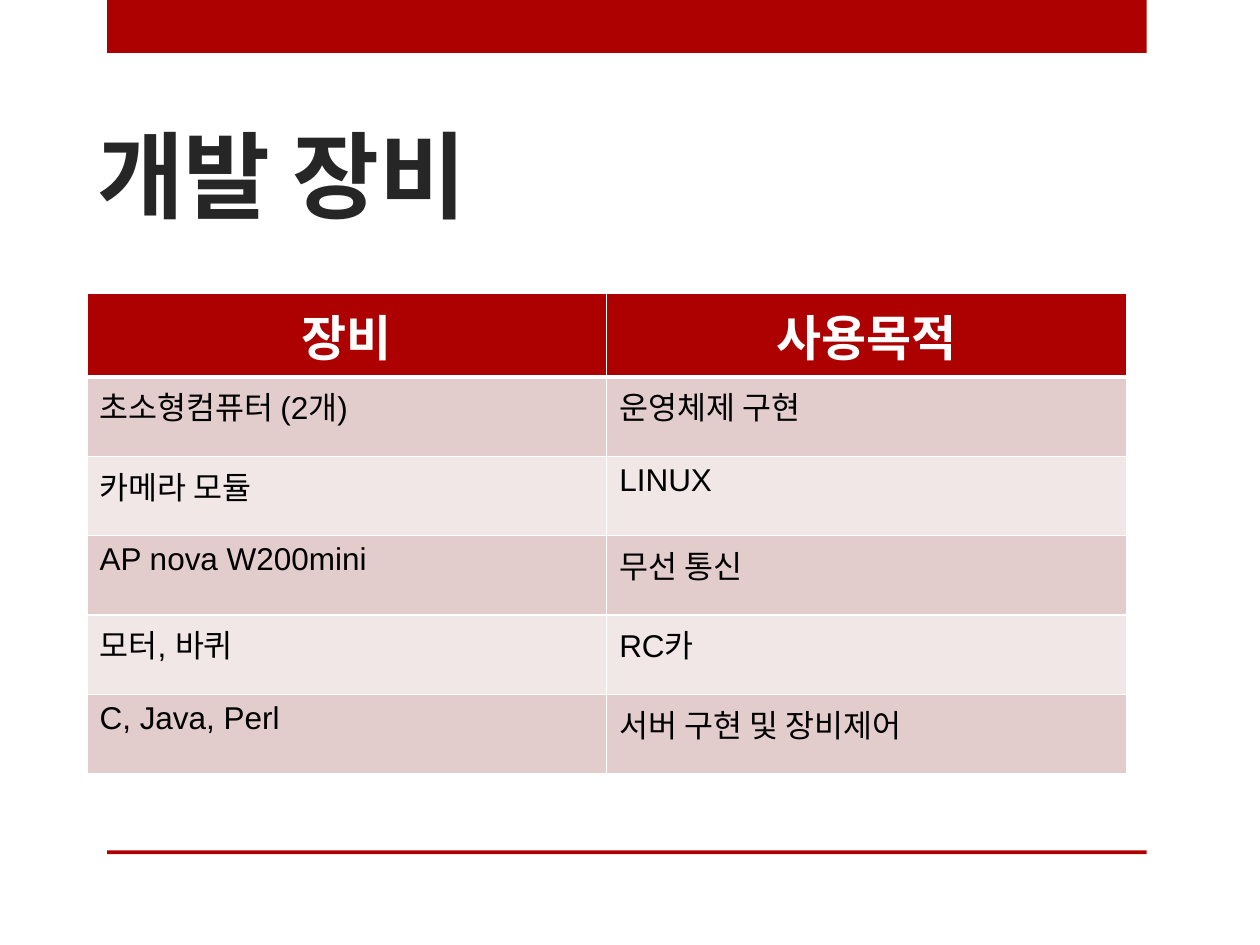
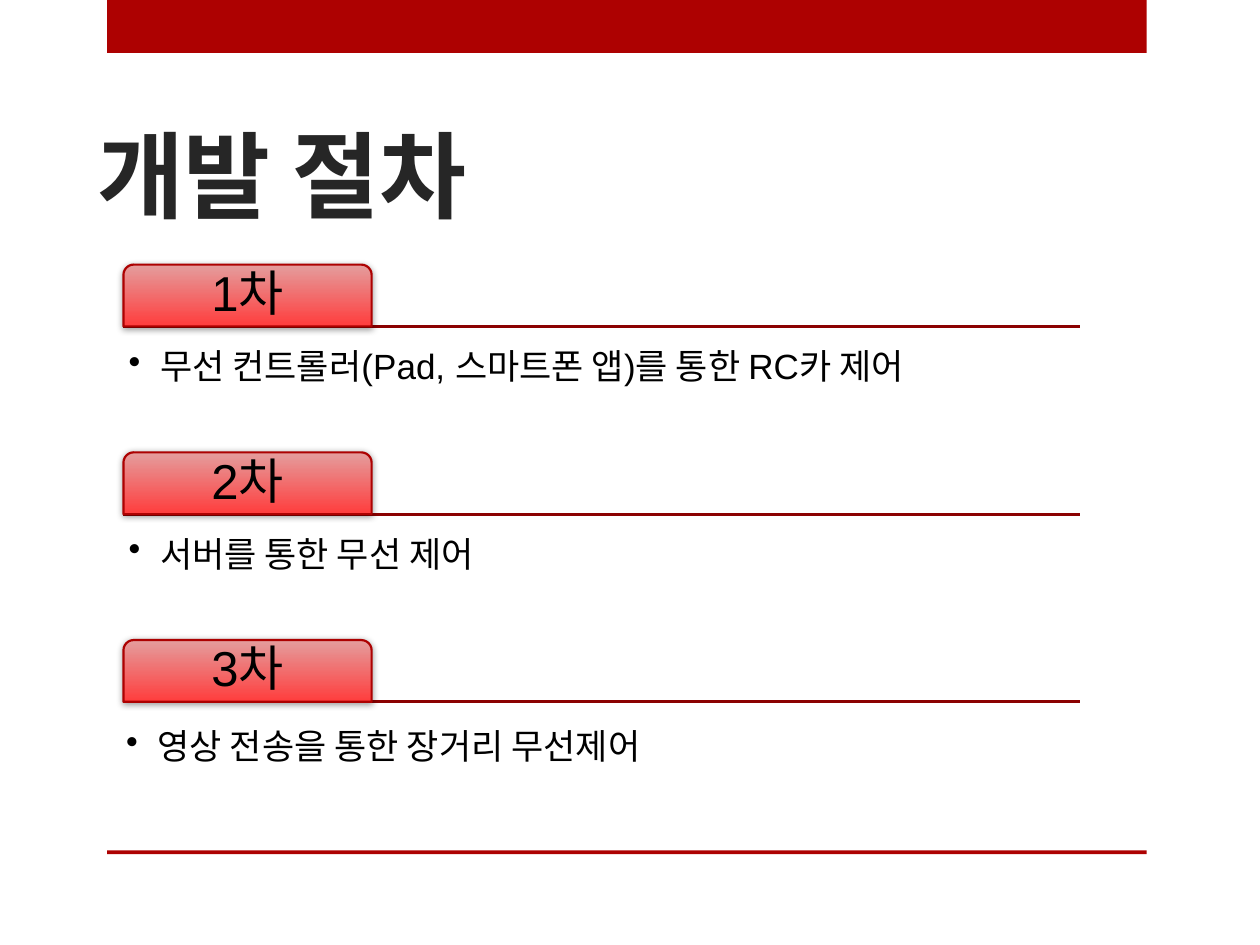
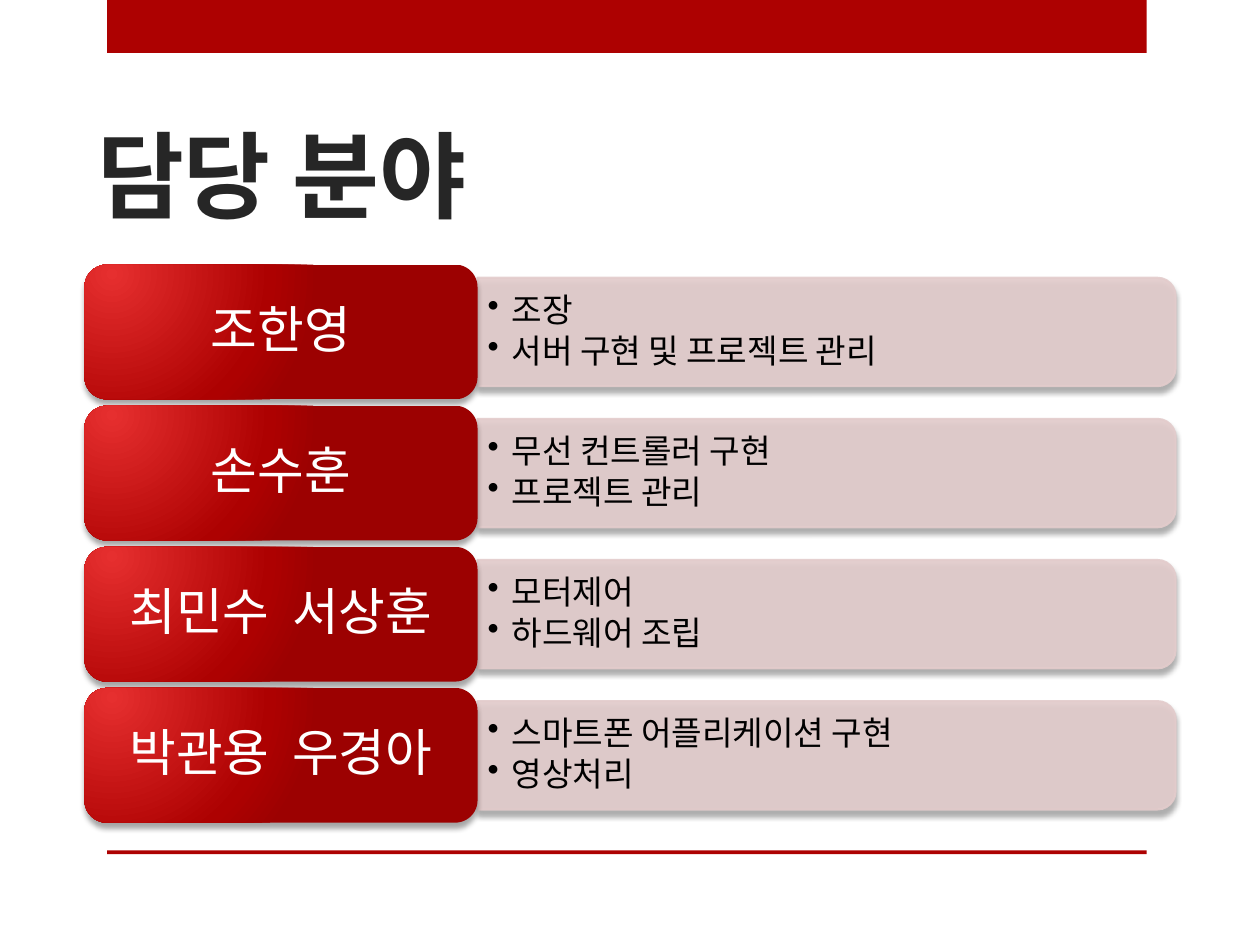
"""Build three project slides: equipment table, development phases and team roles."""
from pptx import Presentation
from pptx.dml.color import RGBColor
from pptx.enum.shapes import MSO_CONNECTOR, MSO_SHAPE
from pptx.enum.text import MSO_ANCHOR, MSO_AUTO_SIZE, PP_ALIGN
from pptx.oxml import parse_xml
from pptx.oxml.ns import nsdecls, qn
from pptx.util import Inches, Pt

RECT, TAB = MSO_SHAPE.RECTANGLE, MSO_SHAPE.ROUND_2_SAME_RECTANGLE
PLATE, STRAIGHT = MSO_SHAPE.ROUNDED_RECTANGLE, MSO_CONNECTOR.STRAIGHT
TOP, MIDDLE, BOTTOM = MSO_ANCHOR.TOP, MSO_ANCHOR.MIDDLE, MSO_ANCHOR.BOTTOM
LEFT, CENTER = PP_ALIGN.LEFT, PP_ALIGN.CENTER
NO_FIT = MSO_AUTO_SIZE.NONE

EQUIPMENT = ("개발 장비", [
    ("장비", "사용목적"),
    ("초소형컴퓨터 (2개)", "운영체제 구현"),
    ("카메라 모듈", "LINUX"),
    ("AP nova W200mini", "무선 통신"),
    ("모터, 바퀴", "RC카"),
    ("C, Java, Perl", "서버 구현 및 장비제어"),
])
PHASES = ("개발 절차", [
    ("1차", "무선 컨트롤러(Pad, 스마트폰 앱)를 통한 RC카 제어"),
    ("2차", "서버를 통한 무선 제어"),
    ("3차", "영상 전송을 통한 장거리 무선제어"),
])
ROLES = ("담당 분야", [
    ("조한영", ["조장", "서버 구현 및 프로젝트 관리"]),
    ("손수훈", ["무선 컨트롤러 구현", "프로젝트 관리"]),
    ("최민수  서상훈", ["모터제어", "하드웨어 조립"]),
    ("박관용  우경아", ["스마트폰 어플리케이션 구현", "영상처리"]),
])

COLORS = {"brand": "AD0101", "rule": "8B0101", "title": "262626", "text": "000000",
          "white": "FFFFFF", "odd_row": "E3CCCC", "even_row": "F1E7E7"}
TAB_GRADIENT = ([(0, "E49D9D"), (100, "FF3D3D")], '<a:lin ang="5400000" scaled="0"/>')
PLATE_GRADIENT = (
    [(0, "E62F2F"), (76, COLORS["brand"]), (100, "9C0101")],
    '<a:path path="circle"><a:fillToRect l="15000" t="15000" r="100000" b="100000"/></a:path>')
TAB_SHADOW = {"alpha": 40, "blur": 4, "distance": 1, "angle": 88}
ROLE_SHADOW = {"alpha": 35, "blur": 3, "distance": 3, "angle": 90}
BANDS = [(0.85, 0, 8.25, 0.42), (0.85, 6.75, 8.25, 0.03)]
TITLE_BOX = (0.67, 0.52, 7.42, 1.36)


def rgb(name):
    return RGBColor.from_string(COLORS[name])


def inches(box):
    return [Inches(value) for value in box]


def shrink(box, gap):
    left, top, width, height = box
    return left + gap, top + gap, width - 2 * gap, height - 2 * gap


def apply(target, values):
    for key, value in values.items():
        setattr(target, key, value)


def style_run(paragraph, text, size, color, font="Arial", bold=False):
    run = paragraph.add_run()
    run.text = text
    apply(run.font, {"size": Pt(size), "name": font, "bold": bold})
    run.font.color.rgb = rgb(color)


def add_shape(slide, kind, box, fill=None, line=None):
    shape = slide.shapes.add_shape(kind, *inches(box))
    shape.shadow.inherit = False
    if fill:
        shape.fill.solid()
        shape.fill.fore_color.rgb = rgb(fill)
    if line:
        shape.line.color.rgb = rgb(line)
        shape.line.width = Pt(1.25)
    else:
        shape.line.fill.background()
    return shape


def set_gradient(shape, gradient):
    stops, direction = gradient
    marks = "".join(f'<a:gs pos="{share * 1000}"><a:srgbClr val="{color}"/></a:gs>'
                    for share, color in stops)
    fill = parse_xml(f'<a:gradFill {nsdecls("a")} rotWithShape="1">'
                     f'<a:gsLst>{marks}</a:gsLst>{direction}</a:gradFill>')
    shape.element.spPr.find(qn("a:prstGeom")).addnext(fill)


def set_opacity(shape, percent):
    for color in shape.element.spPr.iter(qn("a:srgbClr")):
        color.append(parse_xml(f'<a:alpha {nsdecls("a")} val="{percent * 1000}"/>'))


def set_shadow(shape, alpha, blur, distance, angle):
    shape.element.spPr.find(qn("a:effectLst")).append(parse_xml(
        f'<a:outerShdw {nsdecls("a")} blurRad="{Pt(blur)}" dist="{Pt(distance)}" '
        f'dir="{angle * 60000}" rotWithShape="0"><a:srgbClr val="000000">'
        f'<a:alpha val="{alpha * 1000}"/></a:srgbClr></a:outerShdw>'))


def add_text(slide, box, lines, size, color, insets, after, anchor=MIDDLE, bullet=None):
    frame = slide.shapes.add_textbox(*inches(box)).text_frame
    sides = ("margin_left", "margin_top", "margin_right", "margin_bottom")
    apply(frame, {"word_wrap": True, "auto_size": NO_FIT, "vertical_anchor": anchor,
                  **dict(zip(sides, inches(insets)))})
    for index, line in enumerate(lines):
        paragraph = frame.add_paragraph() if index else frame.paragraphs[0]
        apply(paragraph, {"alignment": LEFT if bullet else CENTER,
                          "line_spacing": 0.9, "space_after": Pt(size * after)})
        if bullet:
            paragraph.level = 1
            properties = paragraph._p.get_or_add_pPr()
            properties.set("marL", str(Inches(bullet)))
            properties.set("indent", str(-Inches(bullet)))
            properties.append(parse_xml(f'<a:buChar {nsdecls("a")} char="•"/>'))
        style_run(paragraph, line, size, color)


def add_slide(deck, title):
    slide = deck.slides.add_slide(deck.slide_layouts[5])
    heading = slide.shapes.title
    apply(heading, dict(zip(("left", "top", "width", "height"), inches(TITLE_BOX))))
    apply(heading.text_frame, {"vertical_anchor": BOTTOM, "auto_size": NO_FIT, "word_wrap": True})
    paragraph = heading.text_frame.paragraphs[0]
    paragraph.alignment = LEFT
    style_run(paragraph, title, 54, "title", "Arial Narrow", True)
    return slide


def add_bands(slide):
    for box in BANDS:
        band = add_shape(slide, RECT, box, "brand")
        slide.slide_layout.shapes.element.append(band.element)


def set_borders(cell, top, bottom):
    for side, width in (("L", 1), ("R", 1), ("T", top), ("B", bottom)):
        cell._tc.get_or_add_tcPr().append(parse_xml(
            f'<a:ln{side} {nsdecls("a")} w="{Pt(width)}"><a:solidFill>'
            f'<a:srgbClr val="{COLORS["white"]}"/></a:solidFill></a:ln{side}>'))


def fill_equipment(slide, rows):
    table = slide.shapes.add_table(
        len(rows), len(rows[0]), *inches((0.69, 2.33, 8.25, 0.63 * len(rows)))).table
    for row, texts in enumerate(rows):
        header = row == 0
        fill = "brand" if header else "odd_row" if row % 2 else "even_row"
        for column, text in enumerate(texts):
            cell = table.cell(row, column)
            set_borders(cell, 3 if row == 1 else 1, 3 if header else 1)
            cell.fill.solid()
            cell.fill.fore_color.rgb = rgb(fill)
            paragraph = cell.text_frame.paragraphs[0]
            paragraph.alignment = CENTER if header else LEFT
            style_run(paragraph, text, 28 if header else 18,
                      "white" if header else "text", bold=header)


def fill_phases(slide, phases):
    left, first, pitch, width, tab_height = 0.98, 2.1, 1.49, 7.59, 0.49
    tops = [first + pitch * index for index in range(len(phases))]
    for top in tops:
        y = top + tab_height
        rule = slide.shapes.add_connector(STRAIGHT, *inches((left, y, left + width, y)))
        rule.line.color.rgb = rgb("rule")
        rule.line.width = Pt(1.75)
        rule.element.spPr.append(parse_xml(f'<a:effectLst {nsdecls("a")}/>'))
    for top, (phase, goal) in zip(tops, phases):
        box = (left, top, 1.97, tab_height)
        tab = add_shape(slide, TAB, box, line="brand")
        set_gradient(tab, TAB_GRADIENT)
        set_shadow(tab, **TAB_SHADOW)
        add_text(slide, shrink(box, 0.02), [phase], 28, "text", [0.06] * 4, 0.35)
        last = top == tops[-1]
        goal_top = top + tab_height + (0 if last else 0.14)
        insets = (0.02, 0.22, 0.02, 0.02) if last else [0.04] * 4
        add_text(slide, (left, goal_top, width, 0.98), [goal], 20, "text", insets, 0.15, TOP, 0.25)


def fill_roles(slide, roles):
    left, first, pitch = 0.67, 2.1, 1.12
    plate_width, plate_height, bar_length, bar_height = 3.12, 1.07, 5.54, 0.86
    bar_left = left + plate_width
    for index, (members, duties) in enumerate(roles):
        top = first + pitch * index
        middle = top + plate_height / 2
        bar = add_shape(slide, TAB, (bar_left + (bar_length - bar_height) / 2,
                                     middle - bar_length / 2, bar_height, bar_length),
                        "odd_row", "odd_row")
        bar.rotation = 90
        set_opacity(bar, 90)
        set_shadow(bar, **ROLE_SHADOW)
        add_text(slide, (bar_left, middle - 0.385, 5.5, 0.77), duties, 19, "text",
                 (0.08, 0.04, 0.08, 0.04), 0.15, bullet=0.19)
        box = (left, top, plate_width, plate_height)
        plate = add_shape(slide, PLATE, box)
        set_gradient(plate, PLATE_GRADIENT)
        set_shadow(plate, **ROLE_SHADOW)
        add_text(slide, shrink(box, 0.05), [members], 29, "white",
                 (0.12, 0.06, 0.12, 0.06), 0.35)


deck = Presentation()
deck.slide_width, deck.slide_height = Inches(10), Inches(7.5)
for (title, content), fill_slide in ((EQUIPMENT, fill_equipment), (PHASES, fill_phases),
                                     (ROLES, fill_roles)):
    fill_slide(add_slide(deck, title), content)
add_bands(deck.slides[0])
deck.save("out.pptx")
